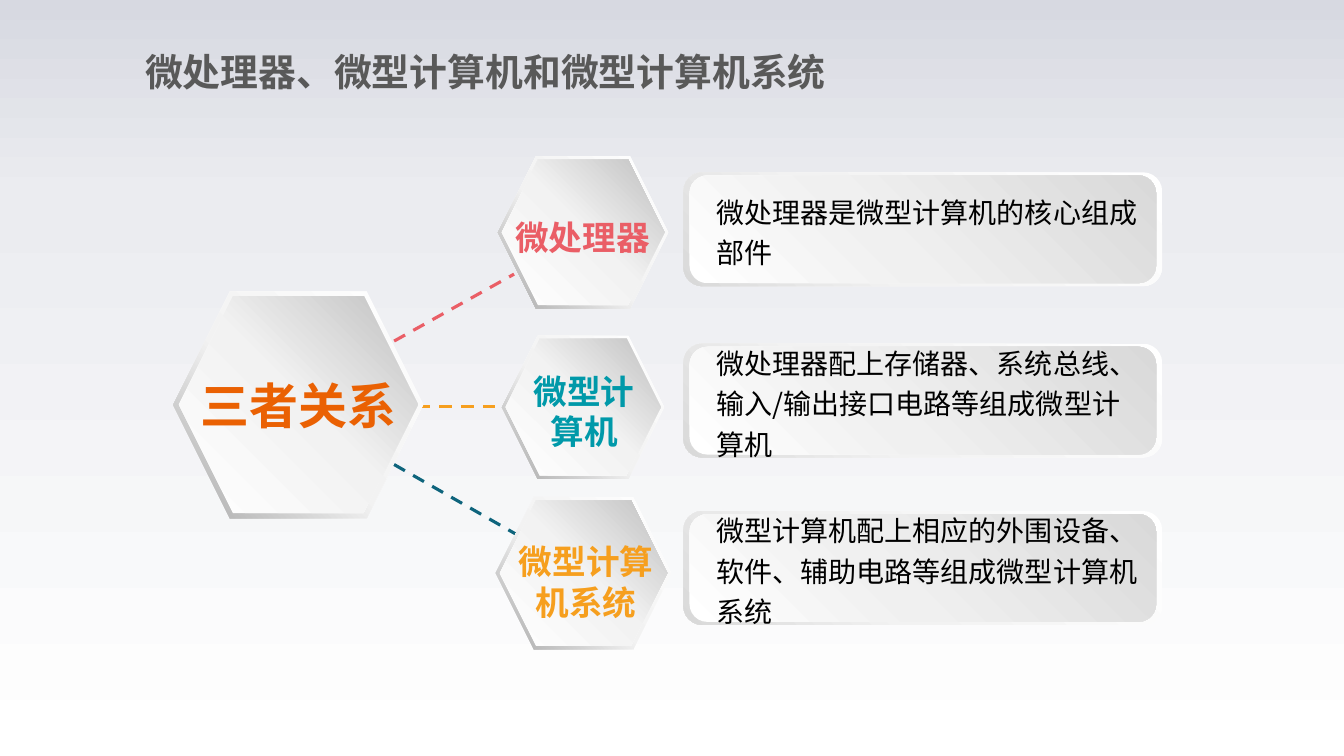
import pptx
import pptx.util
from pptx.dml.color import RGBColor
from pptx.enum.dml import MSO_LINE
from pptx.enum.shapes import MSO_CONNECTOR, MSO_SHAPE
from pptx.enum.text import MSO_ANCHOR, MSO_AUTO_SIZE, PP_ALIGN
from pptx.oxml.ns import qn
from lxml import etree

FONT = "Noto Sans CJK SC"
COLUMNS, ROWS = 160, 90
WIDTH, HEIGHT = pptx.util.Inches(13.33), pptx.util.Inches(7.5)

BACKGROUND = [(0, "D7D9E1"), (26, "EBECF0"), (100, "FFFFFF")]
PANEL_RIM = [(0, "FFFFFF"), (62, "F2F2F2"), (100, "D9D9D9")]
PANEL_FACE = [(0, "FFFFFF"), (42, "F0F0F0"), (100, "D9D9D9")]
HEXAGON_RIM = [(0, "FFFFFF"), (55, "F2F2F2"), (100, "A6A6A6")]
HEXAGON_FACE = [(0, "FFFFFF"), (51, "F2F2F2"), (100, "BFBFBF")]

# hexagon box, label box, label, size, colour, label wraps
HEXAGONS = [
    ((20.64, 34.68, 29.76, 27), (22.2, 43.92, 26.76, 8.64),
     "三者关系", 35, "EA6103", False),
    ((59.28, 18.6, 20.28, 18.12), (59.64, 24.96, 19.44, 6.48),
     "微处理器", 24, "EA5E66", False),
    ((59.76, 39.96, 19.32, 17.04), (61.56, 43.32, 15.96, 11.28),
     "微型计算机", 24, "0099A9", True),
    ((59.04, 59.16, 20.88, 18.12), (60, 63.6, 19.56, 11.28),
     "微型计算机系统", 24, "F69F1E", True),
]
LINKS = [
    ((44.64, 54), (62.28, 64.08), "0E647C"),
    ((47.04, 48.36), (60.6, 48.36), "F69F1E"),
    ((44.64, 41.88), (61.2, 32.64), "EA5E66"),
]
PANELS = [
    (20.52, "微处理器是微型计算机的核心组成部件"),
    (40.92, "微处理器配上存储器、系统总线、输入/输出接口电路等组成微型计算机"),
    (60.84, "微型计算机配上相应的外围设备、软件、辅助电路等组成微型计算机系统"),
]


def color(value):
    return RGBColor.from_string(value)


def across(columns):
    return round(WIDTH * columns / COLUMNS)


def down(rows):
    return round(HEIGHT * rows / ROWS)


def place(box):
    x, y, w, h = box
    return across(x), down(y), across(w), down(h)


def inset(box, dx, dy):
    x, y, w, h = box
    return x + dx, y + dy, w - 2 * dx, h - 2 * dy


def fill_gradient(fill, element, stops, angle):
    """Fill with (percent, colour) stops; the angle runs clockwise."""
    fill.gradient()
    fill.gradient_angle = 360 - angle
    stop_list = element.xpath(".//a:gsLst")[0]
    for stop in list(stop_list):
        stop_list.remove(stop)
    for percent, value in stops:
        stop = etree.SubElement(stop_list, qn("a:gs"), pos=str(percent * 1000))
        etree.SubElement(stop, qn("a:srgbClr"), val=value)


def add_plain_shape(s, kind, box):
    sp = s.shapes.add_shape(kind, *place(box))
    sp.shadow.inherit = False
    sp.line.fill.background()
    return sp


def add_bevel(s, kind, box, face_box, rim, face):
    """Stack a face on a rim, shaded in opposite directions."""
    for part, stops, angle in ((box, rim, 135), (face_box, face, 315)):
        sp = add_plain_shape(s, kind, part)
        fill_gradient(sp.fill, sp.element, stops, angle)


def write(tf, text, size, value, bold, align):
    tf.text = text
    p = tf.paragraphs[0]
    p.alignment = align
    font = p.runs[0].font
    font.size, font.bold, font.name = pptx.util.Pt(size), bold, FONT
    font.color.rgb = color(value)
    etree.SubElement(p.runs[0].font._element, qn("a:ea"), typeface=FONT)
    return p


def set_margins(tf, side, end):
    tf.margin_left = tf.margin_right = pptx.util.Inches(side)
    tf.margin_top = tf.margin_bottom = pptx.util.Inches(end)


def add_label(s, box, text, size, value, wrap, align, margins):
    tf = s.shapes.add_textbox(*place(box)).text_frame
    tf.word_wrap = wrap
    tf.auto_size = MSO_AUTO_SIZE.SHAPE_TO_FIT_TEXT
    set_margins(tf, *margins)
    write(tf, text, size, value, True, align)


def add_hexagon(s, box, label_box, text, size, value, wrap):
    face_box = inset(box, box[2] * 0.022, box[3] * 0.022)
    add_bevel(s, MSO_SHAPE.HEXAGON, box, face_box, HEXAGON_RIM, HEXAGON_FACE)
    add_label(s, label_box, text, size, value, wrap, PP_ALIGN.CENTER, (0.13, 0.07))


def add_link(s, start, end, value):
    line = s.shapes.add_connector(
        MSO_CONNECTOR.STRAIGHT,
        across(start[0]), down(start[1]), across(end[0]), down(end[1]))
    line.line.color.rgb = color(value)
    line.line.width = pptx.util.Pt(2.25)
    line.line.dash_style = MSO_LINE.DASH
    etree.SubElement(line.element.spPr, qn("a:effectLst"))


def add_panel(s, box, text):
    add_bevel(s, MSO_SHAPE.ROUNDED_RECTANGLE, box, inset(box, 0.72, 0.36),
              PANEL_RIM, PANEL_FACE)
    x, y, w, h = box
    sp = add_plain_shape(s, MSO_SHAPE.ROUNDED_RECTANGLE,
                         (x + 2.28, y - 0.36, w - 2.76, h + 0.6))
    sp.fill.background()
    sp.adjustments[0] = 0.115
    tf = sp.text_frame
    tf.word_wrap = True
    tf.vertical_anchor = MSO_ANCHOR.MIDDLE
    set_margins(tf, 0.1, 0.05)
    p = write(tf, text, 20, "000000", False, PP_ALIGN.LEFT)
    p.line_spacing = 1.2


def main():
    prs = pptx.Presentation()
    prs.slide_width, prs.slide_height = WIDTH, HEIGHT
    s = prs.slides.add_slide(prs.slide_layouts[6])
    fill_gradient(s.background.fill, s.element, BACKGROUND, 90)
    add_label(s, (17.28, 5.76, 86.28, 5.4), "微处理器、微型计算机和微型计算机系统",
              27, "595959", True, PP_ALIGN.LEFT, (0, 0))
    for link in LINKS:
        add_link(s, *link)
    for hexagon in HEXAGONS:
        add_hexagon(s, *hexagon)
    for top, text in PANELS:
        add_panel(s, (81.36, top, 57, 13.56), text)
    prs.save("out.pptx")


if __name__ == "__main__":
    main()
